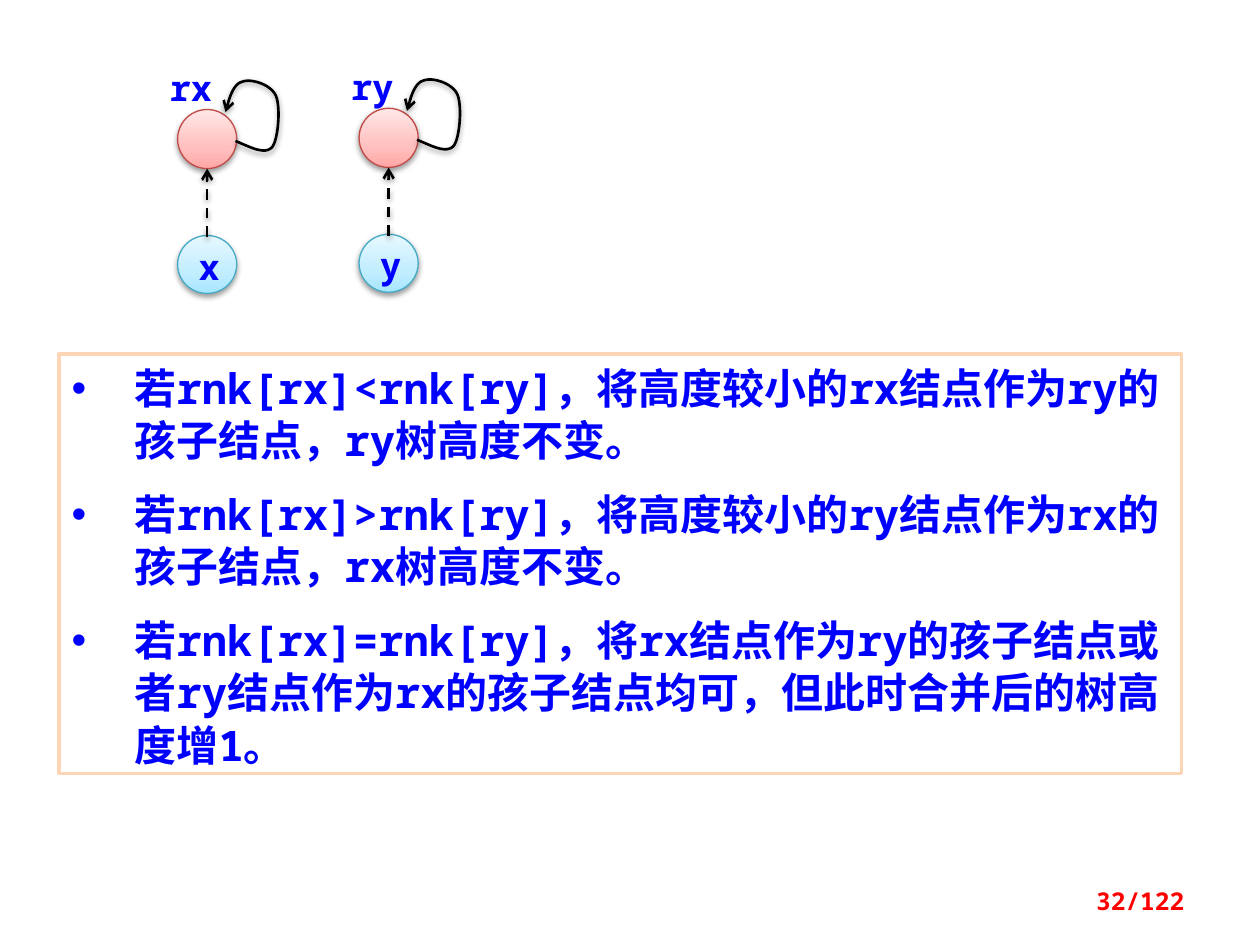
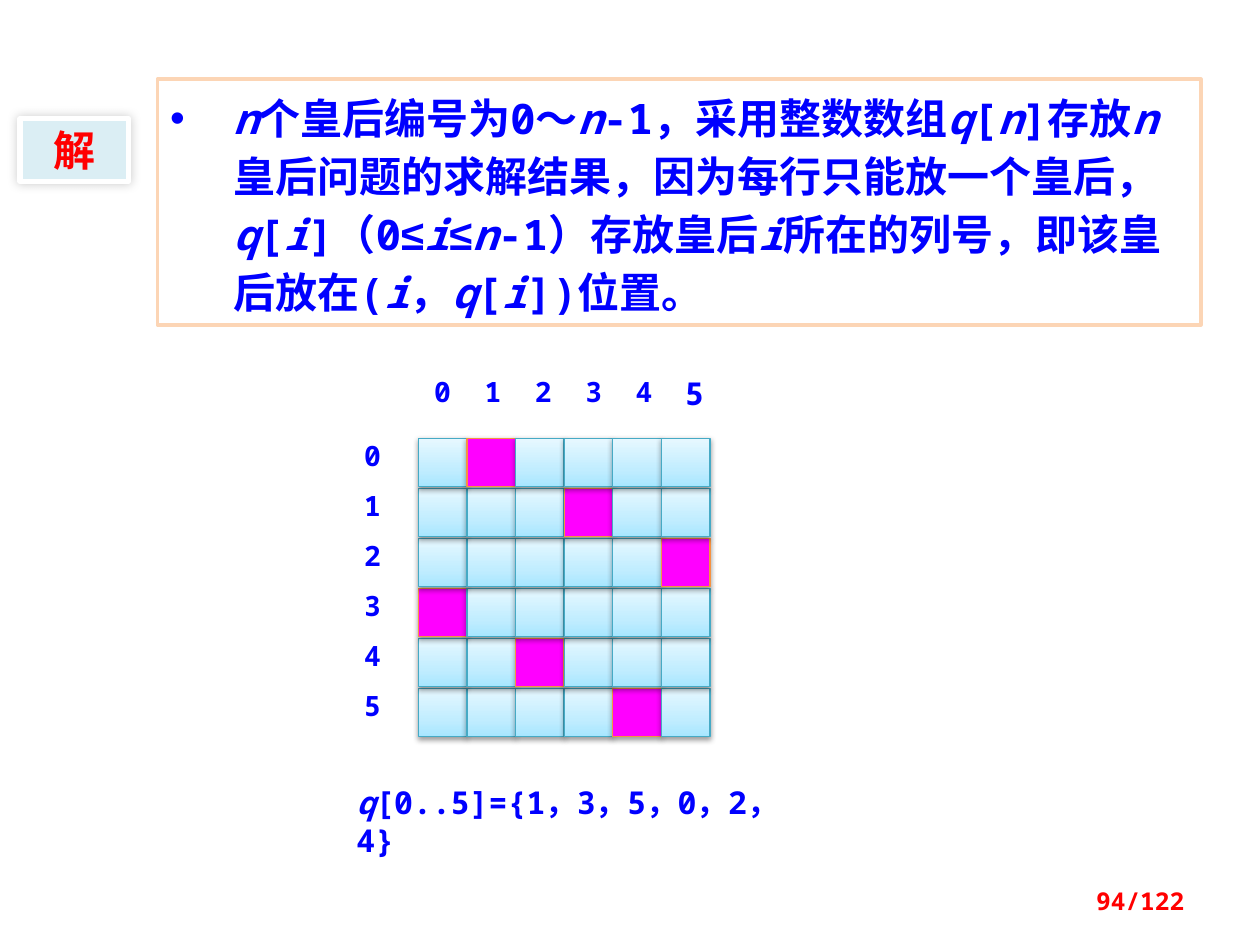
from copy import deepcopy
from lxml import etree
from pptx import Presentation
from pptx.dml.color import RGBColor
from pptx.enum.dml import MSO_LINE
from pptx.enum.shapes import MSO_CONNECTOR, MSO_SHAPE
from pptx.enum.text import MSO_ANCHOR, MSO_AUTO_SIZE, PP_ALIGN
from pptx.oxml.ns import qn
from pptx.util import Pt

OVAL, RECT = MSO_SHAPE.OVAL, MSO_SHAPE.RECTANGLE
STRAIGHT, DASH = MSO_CONNECTOR.STRAIGHT, MSO_LINE.DASH
TOP, MIDDLE = MSO_ANCHOR.TOP, MSO_ANCHOR.MIDDLE
LEFT, CENTER, RIGHT = PP_ALIGN.LEFT, PP_ALIGN.CENTER, PP_ALIGN.RIGHT

THEME = {
    "font": "Noto Sans Mono", "symbol_font": "Arial",
    "text": "0000FF", "accent": "FF0000", "ink": "000000", "paper": "FFFFFF",
    "frame": "FCD5B5", "badge": "DBEEF4", "queen": "FF00FF", "queen_line": "F69240",
    "red": ("FFA6A5", "FFC0BF", "FFE7E7"), "red_line": "BF4C48",
    "blue": ("A7E6FF", "C1EDFF", "E7F8FF"), "blue_line": "46AAC5",
    "body": 24, "node": 20, "caption": 18, "index": 16, "page": 14,
    "shadow": {"alpha": 38, "blur": 3.15, "dist": 1.57, "dir": 90},
    "glow": {"alpha": 20, "blur": 6, "dist": 0, "dir": 225},
}


def style(s, fill=None, line=None, width=0.75, shadow=None):
    if isinstance(fill, tuple):
        s.fill.gradient()
        s.fill.gradient_angle = 90
        gs = s._element.spPr.find(".//" + qn("a:gsLst"))
        gs.insert(1, deepcopy(gs[0]))
        for stop, position, color in zip(s.fill.gradient_stops, (0, 0.35, 1), fill):
            stop.position = position
            stop.color.rgb = RGBColor.from_string(color)
    elif fill:
        s.fill.solid()
        s.fill.fore_color.rgb = RGBColor.from_string(fill)
    if line:
        s.line.color.rgb = RGBColor.from_string(line)
        s.line.width = Pt(width)
    else:
        s.line.fill.background()
    effects = etree.SubElement(s._element.spPr, qn("a:effectLst"))
    if shadow:
        outer = etree.SubElement(effects, qn("a:outerShdw"), blurRad=str(Pt(shadow["blur"])),
                                 dist=str(Pt(shadow["dist"])), dir=str(shadow["dir"] * 60000),
                                 rotWithShape="0")
        color = etree.SubElement(outer, qn("a:srgbClr"), val=THEME["ink"])
        etree.SubElement(color, qn("a:alpha"), val=str(shadow["alpha"] * 1000))


def write(s, texts, size, color="text", align=LEFT, anchor=TOP, spacing=None,
          gap=0, bullet=False, inset=None):
    tf = s.text_frame
    frame = {"word_wrap": True, "auto_size": MSO_AUTO_SIZE.NONE, "vertical_anchor": anchor}
    if inset is not None:
        frame.update({f"margin_{side}": Pt(inset) for side in ("left", "right", "top", "bottom")})
    for key, value in frame.items():
        setattr(tf, key, value)
    for n, text in enumerate(texts):
        p = tf.add_paragraph() if n else tf.paragraphs[0]
        if bullet:
            pPr = p._p.get_or_add_pPr()
            pPr.set("marL", str(Pt(36)))
            pPr.set("indent", str(Pt(-36)))
            etree.SubElement(pPr, qn("a:buFont"), typeface=THEME["symbol_font"])
            etree.SubElement(pPr, qn("a:buChar"), char="•")
        p.alignment = align
        p.space_before = Pt(gap if n else 0)
        if spacing:
            p.line_spacing = Pt(spacing)
        for part, piece in enumerate(text.split("*")):
            if not piece:
                continue
            r = p.add_run()
            r.text = piece
            font = {"name": THEME["symbol_font" if piece == "≤" else "font"],
                    "size": Pt(THEME[size]), "bold": True, "italic": part % 2 == 1}
            for key, value in font.items():
                setattr(r.font, key, value)
            r.font.color.rgb = RGBColor.from_string(THEME[color])


prs = Presentation()
prs.slide_width, prs.slide_height = Pt(720), Pt(540)

pages = [
    {"page": "32/122", "box": (33.8, 202.3, 641.5, 239.8), "spacing": 30, "texts": [
        "若rnk[rx]<rnk[ry]，将高度较小的rx结点作为ry的孩子结点，ry树高度不变。",
        "若rnk[rx]>rnk[ry]，将高度较小的ry结点作为rx的孩子结点，rx树高度不变。",
        "若rnk[rx]=rnk[ry]，将rx结点作为ry的孩子结点或者ry结点作为rx的孩子结点均可，"
        "但此时合并后的树高度增1。"]},
    {"page": "94/122", "box": (90, 45.2, 596.2, 140.4), "spacing": 33, "texts": [
        "*n*个皇后编号为0～*n*-1，采用整数数组*q*[*n*]存放*n*皇后问题的求解结果，"
        "因为每行只能放一个皇后，*q*[*i*]（0**≤*i*≤*n*-1）存放皇后*i*所在的列号，"
        "即该皇后放在(*i*，*q*[*i*])位置。"]},
]
slides = []
for page in pages:
    slide = prs.slides.add_slide(prs.slide_layouts[1])
    slides.append(slide)
    title = slide.shapes.title._element
    title.getparent().remove(title)
    body = slide.placeholders[1]
    for key, value in zip(("left", "top", "width", "height"), page["box"]):
        setattr(body, key, Pt(value))
    style(body, THEME["paper"], THEME["frame"], 2)
    write(body, page["texts"], "body", spacing=page["spacing"], gap=12, bullet=True)
    number = slide.shapes.add_textbox(Pt(516.2), Pt(500.4), Pt(167.8), Pt(28.8))
    write(number, [page["page"]], "page", "accent", RIGHT, MIDDLE)

union, queens = slides

loop_start = (33.1, 18)
loop_curves = [
    ((41.8, 21.6), (49.7, 26), (54, 21.6)),
    ((57.6, 17.3), (59, -1.4), (56.2, -7.9)),
    ((53.3, -14.4), (41.8, -18), (36.7, -15.8)),
    ((31.7, -14.4), (29.5, -6.4), (27.4, 1.5)),
]
steps = 12
loop_points = [loop_start]
for b, c, d in loop_curves:
    a = loop_points[-1]
    for k in range(1, steps + 1):
        t = k / steps
        u = 1 - t
        loop_points.append(tuple(
            u**3 * a[i] + 3 * u * u * t * b[i] + 3 * u * t * t * c[i] + t**3 * d[i]
            for i in (0, 1)))

for name, x, y in (("x", 101.5, 62.6), ("y", 205.2, 61.9)):
    root = union.shapes.add_shape(OVAL, Pt(x), Pt(y), Pt(33.8), Pt(33.8))
    style(root, THEME["red"], THEME["red_line"], shadow=THEME["shadow"])
    node = union.shapes.add_shape(OVAL, Pt(x), Pt(y + 72), Pt(33.8), Pt(33.1))
    style(node, THEME["blue"], THEME["blue_line"], shadow=THEME["shadow"])
    write(node, [name], "node", align=CENTER, anchor=MIDDLE, spacing=26)
    points = [(Pt(x + dx), Pt(y + dy)) for dx, dy in loop_points]
    builder = union.shapes.build_freeform(*points[0], scale=1.0)
    builder.add_line_segments(points[1:], close=False)
    loop = builder.convert_to_shape()
    loop.fill.background()
    parent = union.shapes.add_connector(STRAIGHT, Pt(x + 16.9), Pt(y + 72.7),
                                        Pt(x + 16.9), Pt(y + 33.8))
    for arrow in (loop, parent):
        style(arrow, line=THEME["ink"], width=1.5, shadow=THEME["shadow"])
    parent.line.dash_style = DASH
    for arrow in (loop, parent):
        etree.SubElement(arrow.line._ln, qn("a:tailEnd"), type="arrow")
    label = union.shapes.add_textbox(Pt(x - 11.5), Pt(y - 28), Pt(45.4), Pt(31.7))
    write(label, ["r" + name], "node")

badge = queens.shapes.add_shape(RECT, Pt(11.5), Pt(67.7), Pt(61.9), Pt(36))
style(badge, THEME["badge"], THEME["paper"], 3, THEME["glow"])
write(badge, ["解"], "body", "accent", CENTER)

columns = [1, 3, 5, 0, 2, 4]
size = Pt(27.7)
for row in reversed(range(6)):
    for col in range(6):
        cell = queens.shapes.add_shape(RECT, Pt(239 + 27.8 * col), Pt(250.5 + 28.55 * row),
                                       size, size)
        kind = "queen" if columns[row] == col else "blue"
        style(cell, THEME[kind], THEME[kind + "_line"], shadow=THEME["shadow"])

for n in range(6):
    for x, y, align, text_size in (
            (239 + 28.8 * n, 213.8, CENTER, "caption" if n == 5 else "index"),
            (208, 250.5 + 28.6 * n, LEFT, "index")):
        index = queens.shapes.add_shape(RECT, Pt(x), Pt(y), size, size)
        style(index, THEME["paper"])
        write(index, [str(n)], text_size, align=align, inset=0)

answer = queens.shapes.add_textbox(Pt(196.6), Pt(444.2), Pt(275.8), Pt(28.8))
write(answer, ["*q*[0..5]={1，3，5，0，2，4}"], "caption")

prs.save("out.pptx")
